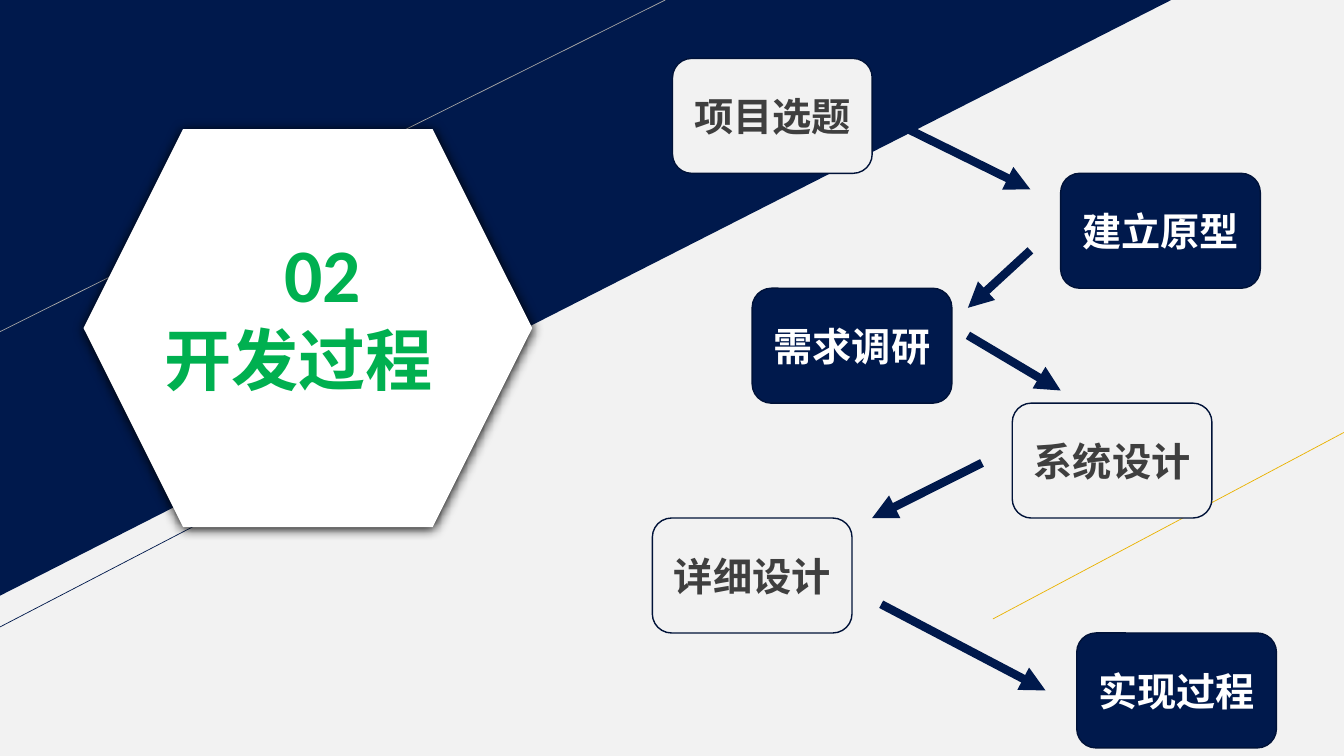
from dataclasses import dataclass

from lxml.etree import SubElement
from pptx import Presentation
from pptx.dml.color import RGBColor
from pptx.enum.shapes import MSO_CONNECTOR as Connector, MSO_SHAPE as Preset
from pptx.enum.text import MSO_ANCHOR as Anchor, PP_ALIGN as Align
from pptx.oxml.ns import qn
from pptx.util import Inches, Pt


@dataclass(frozen=True)
class Theme:
    """Colours, font and type sizes of the slide."""
    navy: str = "00194C"
    outline: str = "001238"
    pale: str = "F2F2F2"
    white: str = "FFFFFF"
    dark: str = "3F3F3F"
    green: str = "00B050"
    gray: str = "A6A6A6"
    gold: str = "EAB200"
    black: str = "000000"
    font: str = "Calibri"
    number_size: int = 54
    title_size: int = 48
    step_size: int = 28
    hairline: float = 0.5
    border: float = 1
    arrow: float = 6


@dataclass(frozen=True)
class Box:
    """An area whose inner areas are given in percent of its size."""
    left: float
    top: float
    width: float
    height: float

    def point(self, x, y):
        """Return the position at the given shares."""
        return (int(self.left + self.width * x / 100),
                int(self.top + self.height * y / 100))

    def area(self, x, y, width, height):
        """Return a smaller box at the given shares."""
        return Box(*self.point(x, y), int(self.width * width / 100),
                   int(self.height * height / 100))


THEME = Theme()
rgb = RGBColor.from_string


def add_preset(slide, preset, box, fill, border=None):
    """Add a filled preset shape without shadow."""
    shape = slide.shapes.add_shape(preset, box.left, box.top, box.width, box.height)
    shape.shadow.inherit = False
    shape.fill.solid()
    shape.fill.fore_color.rgb = rgb(fill)
    if border:
        shape.line.color.rgb = rgb(border)
        shape.line.width = Pt(THEME.border)
    else:
        shape.line.fill.background()
    return shape


def add_line(slide, start, end, color, width, arrow=False):
    """Add a straight line, with an arrowhead at its end if asked."""
    line = slide.shapes.add_connector(Connector.STRAIGHT, *start, *end)
    line.line.color.rgb = rgb(color)
    line.line.width = Pt(width)
    properties = line._element.spPr
    if arrow:
        SubElement(properties.find(qn("a:ln")), qn("a:tailEnd"), type="triangle")
    SubElement(properties, qn("a:effectLst"))


def write(para, text, size, color, align):
    """Write one bold run into a paragraph."""
    para.alignment = align
    span = para.add_run()
    span.text = text
    formats = {"name": THEME.font, "size": Pt(size), "bold": True}
    for name, value in formats.items():
        setattr(span.font, name, value)
    span.font.color.rgb = rgb(color)


def add_shadow(shape):
    """Give a shape a soft shadow below it."""
    effects = shape._element.spPr.find(qn("a:effectLst"))
    shadow = SubElement(effects, qn("a:outerShdw"), blurRad=str(Pt(8.5)),
                        dist=str(Pt(1)), dir="5400000", algn="t", rotWithShape="0")
    SubElement(shadow, qn("a:srgbClr"), val=THEME.black)


def build_backdrop(slide, box):
    """Draw the pale ground, the navy corner and the slanted lines."""
    add_preset(slide, Preset.RECTANGLE, box, THEME.pale)
    corner = add_preset(slide, Preset.RIGHT_TRIANGLE,
                        box.area(0, 0, 87.15, 78.8), THEME.navy)
    corner._element.spPr.find(qn("a:xfrm")).set("flipV", "1")
    slants = [
        ((0, 43.87), (49.5, 0), THEME.gray),
        ((73.88, 81.87), (100, 57.2), THEME.gold),
        ((0, 82.93), (15.6, 68.53), THEME.navy),
    ]
    for start, end, color in slants:
        add_line(slide, box.point(*start), box.point(*end), color, THEME.hairline)


def build_title(slide, box):
    """Draw the hexagon with the section number and title."""
    hexagon = add_preset(slide, Preset.HEXAGON, box, THEME.white)
    add_shadow(hexagon)
    frame = hexagon.text_frame
    formats = {"word_wrap": True, "vertical_anchor": Anchor.MIDDLE,
               "margin_bottom": Inches(0.35)}
    for name, value in formats.items():
        setattr(frame, name, value)
    number = frame.paragraphs[0]
    write(number, "02", THEME.number_size, THEME.green, Align.LEFT)
    indent = {"marL": str(Inches(1.19)), "indent": "0"}
    for name, value in indent.items():
        number._p.get_or_add_pPr().set(name, value)
    write(frame.add_paragraph(), "开发过程", THEME.title_size, THEME.green, Align.LEFT)


def build_flow(slide, box):
    """Draw the steps, one per row, and the arrows between them."""
    navy_style = (THEME.navy, THEME.white)
    pale_style = (THEME.pale, THEME.dark)
    steps = [
        ("项目选题", 3.23, pale_style),
        ("建立原型", 65.32, navy_style),
        ("需求调研", 15.97, navy_style),
        ("系统设计", 57.58, pale_style),
        ("详细设计", 0, pale_style),
        ("实现过程", 67.9, navy_style),
    ]
    row = 100 / len(steps)
    for index, (label, left, (fill, color)) in enumerate(steps):
        step = add_preset(slide, Preset.ROUNDED_RECTANGLE,
                          box.area(left, index * row, 31.94, row),
                          fill, THEME.outline)
        frame = step.text_frame
        frame.word_wrap = True
        frame.vertical_anchor = Anchor.MIDDLE
        write(frame.paragraphs[0], label, THEME.step_size, color, Align.CENTER)
    arrows = [
        ((36.61, 0.5), (60.48, 1.14)),
        ((60.48, 1.67), (50.48, 2.17)),
        ((50.48, 2.41), (65.32, 2.89)),
        ((52.74, 3.52), (35.16, 4)),
        ((36.61, 4.75), (62.9, 5.5)),
    ]
    for ends in arrows:
        start, end = (box.point(x, rows * row) for x, rows in ends)
        add_line(slide, start, end, THEME.navy, THEME.arrow, arrow=True)


def main():
    """Build the section slide and save it."""
    deck = Presentation()
    deck.slide_width, deck.slide_height = Inches(13.33), Inches(7.5)
    slide = deck.slides.add_slide(deck.slide_layouts[6])
    page = Box(0, 0, deck.slide_width, deck.slide_height)
    build_backdrop(slide, page)
    build_title(slide, page.area(6.22, 17.07, 33.38, 52.67))
    build_flow(slide, page.area(48.54, 7.73, 46.51, 91.2))
    deck.save("out.pptx")


if __name__ == "__main__":
    main()
